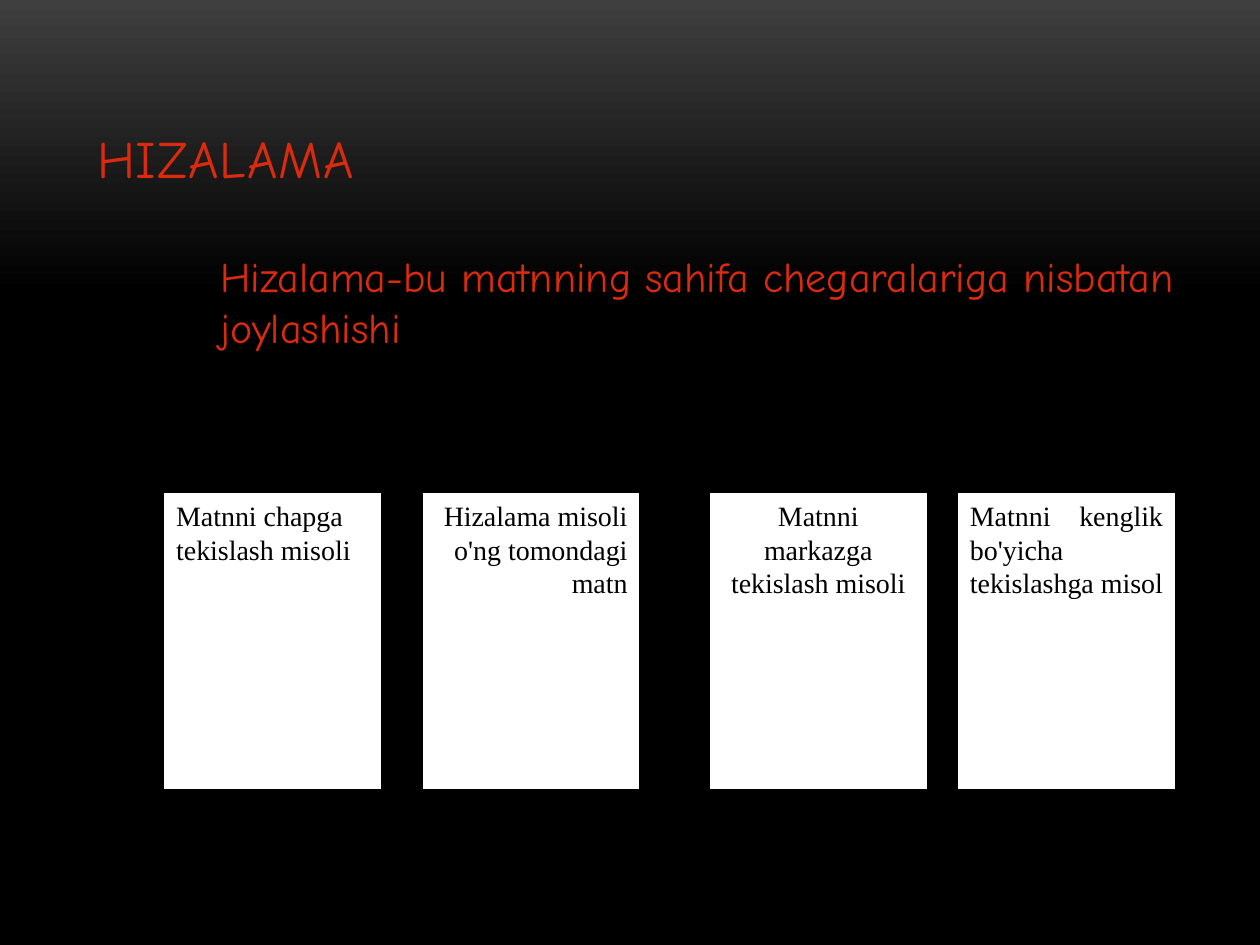
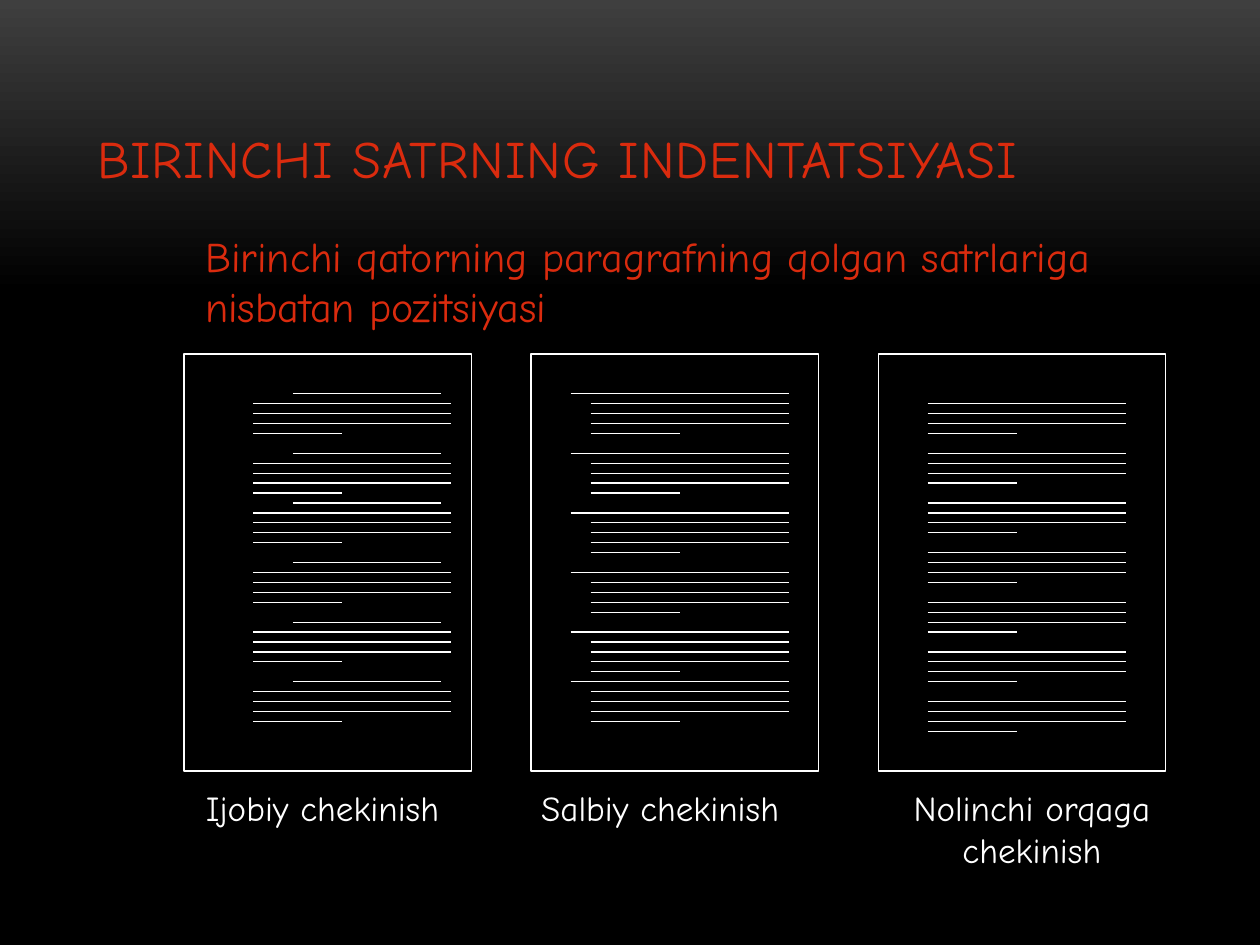
from pptx import Presentation
from pptx.dml.color import RGBColor
from pptx.enum import shapes, text
from pptx.oxml.ns import qn
from pptx.util import Inches, Pt

RED, WHITE, BLACK, GREY = "DA2B0E", "FFFFFF", "000000", "3F3F3F"
HAND, SERIF = "Comic Neue", "Times New Roman"
LEFT, RIGHT = text.PP_ALIGN.LEFT, text.PP_ALIGN.RIGHT
CENTER, JUSTIFY = text.PP_ALIGN.CENTER, text.PP_ALIGN.JUSTIFY
COLS, ROWS = 29, 42  # each sample page is a grid of square cells


def color(code):
    return RGBColor.from_string(code)


def inches(*sizes):
    return [Inches(size) for size in sizes]


def write(frame, words, size=24, font=HAND, ink=RED, align=LEFT,
          anchor=text.MSO_ANCHOR.TOP, space=None):
    """Fill a text frame, one paragraph for each line of words."""
    frame.word_wrap = True
    frame.vertical_anchor = anchor
    for i, line in enumerate(words.split("\n")):
        para = frame.paragraphs[0] if i == 0 else frame.add_paragraph()
        para.alignment = align
        run = para.add_run()
        run.text = line
        run.font.size, run.font.name = Pt(size), font
        run.font.color.rgb = color(ink)
        if space:
            run.font._element.set("spc", str(int(space * 100)))


def label(slide, box, words, **style):
    write(slide.shapes.add_textbox(*inches(*box)).text_frame, words, **style)


def panel(parent, box, fill, edge):
    rect = parent.add_shape(shapes.MSO_SHAPE.RECTANGLE, *inches(*box))
    rect.shadow.inherit = False
    rect.fill.solid()
    rect.fill.fore_color.rgb = color(fill)
    rect.line.color.rgb = color(edge)
    rect.line.width = Pt(0.75)
    return rect


def rule(parent, x1, x2, y):
    """Draw a thin level line."""
    line = parent.add_connector(shapes.MSO_CONNECTOR.STRAIGHT,
                                *inches(x1, y, x2, y))
    line.line.color.rgb = color(WHITE)
    line.line.width = Pt(0.75)
    props = line._element.spPr
    props.append(props.makeelement(qn("a:effectLst"), {}))


def page(slide, box, starts, lines):
    """Draw a page whose paragraphs begin at the given grid rows.

    Each entry of lines is the first and last grid column of one line.
    """
    left, top, width, height = box
    group = slide.shapes.add_group_shape().shapes
    panel(group, box, BLACK, WHITE)
    for start in starts:
        for row, (first, last) in enumerate(lines, start):
            rule(group, left + first * width / COLS,
                 left + last * width / COLS, top + row * height / ROWS)


def theme(deck):
    """Set the shared background and title place; return the layout."""
    fill = deck.slide_master.background.fill
    fill.gradient()
    fill.gradient_angle = 270
    for stop, spot, code in zip(fill.gradient_stops, (0, 0.31), (GREY, BLACK)):
        stop.position, stop.color.rgb = spot, color(code)
    layout = deck.slide_layouts.get_by_name("Title Only")
    title = layout.placeholders[0]
    title.left, title.top, title.width, title.height = inches(
        0.67, 0.3, 8.67, 1.25)
    return layout


def start(deck, layout, words):
    """Add a slide with its title."""
    slide = deck.slides.add_slide(layout)
    write(slide.shapes.title.text_frame, words, size=30,
          anchor=text.MSO_ANCHOR.BOTTOM, space=0.5)
    return slide


def align_slide(deck, layout):
    slide = start(deck, layout, "HIZALAMA")
    label(slide, (1.65, 1.94, 8.35, 0.9),
          "Hizalama-bu matnning sahifa chegaralariga nisbatan joylashishi")
    cards = [
        (1.3, LEFT, "Matnni chapga tekislash misoli"),
        (3.35, RIGHT, "Hizalama misoli\no'ng tomondagi matn"),
        (5.63, CENTER, "Matnni markazga tekislash misoli"),
        (7.6, JUSTIFY, "Matnni kenglik bo'yicha tekislashga misol"),
    ]
    for left, align, words in cards:
        card = panel(slide.shapes, (left, 3.91, 1.73, 2.36), WHITE, BLACK)
        write(card.text_frame, words, size=16, font=SERIF, ink=BLACK,
              align=align)


def indent_slide(deck, layout):
    slide = start(deck, layout, "BIRINCHI SATRNING INDENTATSIYASI")
    label(slide, (1.53, 1.78, 8.03, 0.9),
          "Birinchi qatorning paragrafning qolgan satrlariga "
          "nisbatan pozitsiyasi")
    captions = [
        (1.22, 2.68, "Ijobiy chekinish"),
        (3.9, 2.68, "Salbiy chekinish"),
        (7.13, 2.12, "Nolinchi orqaga chekinish"),
    ]
    for left, width, words in captions:
        label(slide, (left, 6.19, width, 0.77), words, size=20, ink=WHITE,
              align=CENTER)
    # page starts, first line, left column of the text
    pages = [
        ((4, 10, 15, 21, 27, 33), [(11, 26)], 7),
        ((4, 10, 16, 22, 28, 33), [(4, 26)], 6),
        (range(5, 36, 5), [], 5),
    ]
    for i, (starts, first, col) in enumerate(pages):
        body = [(col, col + 20)] * 3 + [(col, col + 9)]
        page(slide, (1.46 + i * 2.755, 2.81, 2.28, 3.31), starts, first + body)


def main():
    deck = Presentation()
    deck.slide_width, deck.slide_height = inches(10, 7.5)
    layout = theme(deck)
    align_slide(deck, layout)
    indent_slide(deck, layout)
    deck.save("out.pptx")


if __name__ == "__main__":
    main()
